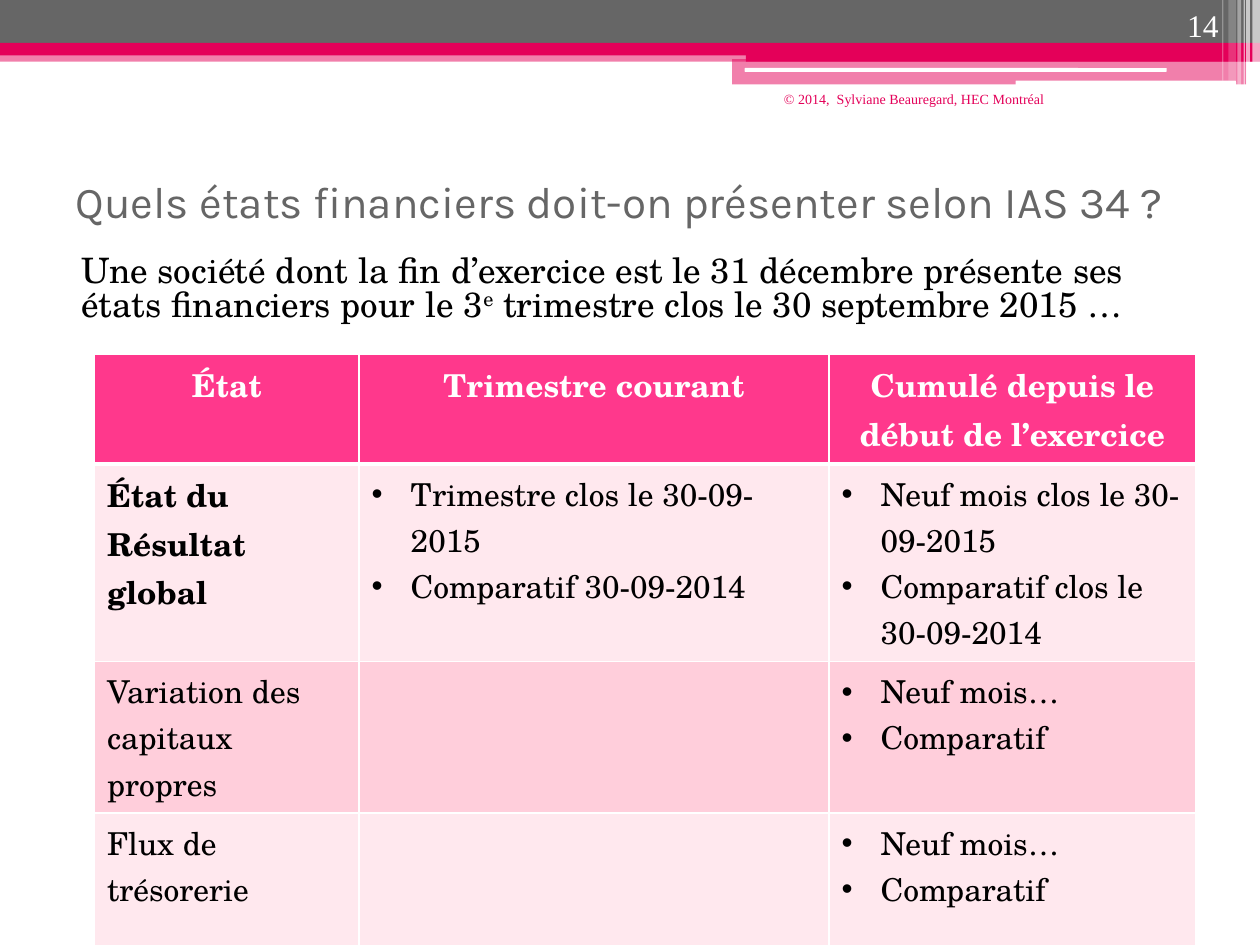
"""Build the slide on the interim statements required by IAS 34."""
from dataclasses import dataclass

from lxml import etree
from pptx import Presentation
from pptx.dml.color import RGBColor
from pptx.enum.shapes import MSO_SHAPE
from pptx.enum.text import MSO_ANCHOR, MSO_AUTO_SIZE, PP_ALIGN
from pptx.oxml.ns import qn
from pptx.util import Inches, Pt

RECT, ROUND = MSO_SHAPE.RECTANGLE, MSO_SHAPE.ROUNDED_RECTANGLE
LEFT, CENTER, RIGHT = PP_ALIGN.LEFT, PP_ALIGN.CENTER, PP_ALIGN.RIGHT
TOP, MIDDLE, BOTTOM = MSO_ANCHOR.TOP, MSO_ANCHOR.MIDDLE, MSO_ANCHOR.BOTTOM
NO_FIT = MSO_AUTO_SIZE.NONE
SERIF, BODY, HEADING = "Times New Roman", "TeX Gyre Schola", "Karla"
WHITE, BLACK, GREY, PINK = "FFFFFF", "000000", "666666", "E40059"
HEADER, LIGHT, MEDIUM = "FF388C", "FFE8EE", "FFCEDB"


@dataclass(frozen=True)
class Band:
    """A decorative bar of the slide header."""
    x: float
    y: float
    w: float
    h: float
    color: str = WHITE
    alpha: int = 100
    kind: int = RECT


@dataclass(frozen=True)
class Row:
    """A table row; a tuple of texts makes a bulleted cell."""
    height: float
    fill: str
    cells: tuple
    bold: tuple = (False, False, False)
    color: str = BLACK
    align: int = LEFT
    top: int = 1
    bottom: int = 1


BANDS = [
    Band(0, 0.4, 10, 0.09, PINK, 50),
    Band(0, 0, 10, 0.34, GREY),
    Band(0, 0.34, 10, 0.1, PINK),
    Band(5.92, 0.39, 4.08, 0.1, PINK),
    Band(5.81, 0.47, 4.08, 0.2, PINK, 50),
    Band(5.91, 0.54, 3.35, 0.03, kind=ROUND),
    Band(8.06, 0.64, 1.75, 0.04, kind=ROUND),
    Band(9.94, 0, 0.06, 0.68, alpha=65),
    Band(9.89, 0, 0.03, 0.68, alpha=65),
    Band(9.87, 0, 0.01, 0.68, alpha=60),
    Band(9.82, 0, 0.03, 0.68, alpha=40),
    Band(9.75, 0, 0.06, 0.64, alpha=20),
    Band(9.7, 0, 0.01, 0.64, alpha=30),
]
NINE_MONTHS = ("Neuf mois…", "Comparatif")
COLS = (2.1, 3.73, 2.91)
ROWS = [
    Row(0.7, HEADER, ("État", "Trimestre courant", "Cumulé depuis le début de l’exercice"),
        (True, True, True), WHITE, CENTER, bottom=3),
    Row(1.3, LIGHT, ("État du Résultat global",
                     ("Trimestre clos le 30-09-2015", "Comparatif 30-09-2014"),
                     ("Neuf mois clos le 30-09-2015", "Comparatif clos le 30-09-2014")),
        (True, False, False), top=3),
    Row(1.11, MEDIUM, ("Variation des capitaux propres", "", NINE_MONTHS)),
    Row(1.08, LIGHT, ("Flux de trésorerie", "", NINE_MONTHS)),
]


def rgb(color: str) -> RGBColor:
    """Turn a hex string into a colour."""
    return RGBColor.from_string(color)


def add_run(p, text: str, *, size: float = 18, font: str = BODY, color: str = BLACK,
            bold: bool = False, align: int = LEFT, raised: int = 0) -> None:
    """Append formatted text to a paragraph."""
    p.alignment = align
    r = p.add_run()
    r.text = text
    r.font.size, r.font.name, r.font.bold = Pt(size), font, bold
    r.font.color.rgb = rgb(color)
    if raised:
        r.font._element.set("baseline", str(raised * 1000))


def set_list(p, margin: float, indent: float, bullet: str = "") -> None:
    """Set the indents and the bullet of a paragraph."""
    pPr = p._p.get_or_add_pPr()
    pPr.set("marL", str(Inches(margin)))
    pPr.set("indent", str(Inches(indent)))
    if bullet:
        etree.SubElement(pPr, qn("a:buFont"), typeface="Arial")
        etree.SubElement(pPr, qn("a:buChar"), char=bullet)
    else:
        etree.SubElement(pPr, qn("a:buNone"))


def place(sp, x: float, y: float, w: float, h: float, anchor: int = TOP):
    """Position a text shape and return its first paragraph."""
    sp.left, sp.top, sp.width, sp.height = map(Inches, (x, y, w, h))
    tf = sp.text_frame
    tf.word_wrap, tf.auto_size, tf.vertical_anchor = True, NO_FIT, anchor
    return tf.paragraphs[0]


def add_box(s, x: float, y: float, w: float, h: float, anchor: int = TOP):
    """Add a text box and return its first paragraph."""
    return place(s.shapes.add_textbox(0, 0, 0, 0), x, y, w, h, anchor)


def add_band(s, band: Band) -> None:
    """Draw one header bar."""
    sp = s.shapes.add_shape(band.kind, *map(Inches, (band.x, band.y, band.w, band.h)))
    sp.shadow.inherit = False
    sp.line.fill.background()
    sp.fill.solid()
    sp.fill.fore_color.rgb = rgb(band.color)
    if band.alpha < 100:
        clr = sp._element.spPr.find(".//" + qn("a:srgbClr"))
        etree.SubElement(clr, qn("a:alpha"), val=str(band.alpha * 1000))


def add_borders(cell, top: int, bottom: int) -> None:
    """Give a cell white borders."""
    tcPr = cell._tc.get_or_add_tcPr()
    for side, width in (("L", 1), ("R", 1), ("T", top), ("B", bottom)):
        ln = etree.SubElement(tcPr, qn(f"a:ln{side}"), w=str(Pt(width)))
        fill = etree.SubElement(ln, qn("a:solidFill"))
        etree.SubElement(fill, qn("a:srgbClr"), val=WHITE)


def fill_cell(cell, content, row: Row, bold: bool) -> None:
    """Write and format one table cell."""
    add_borders(cell, row.top, row.bottom)
    cell.fill.solid()
    cell.fill.fore_color.rgb = rgb(row.fill)
    bulleted = isinstance(content, tuple)
    tf = cell.text_frame
    for i, text in enumerate(content if bulleted else (content,)):
        p = tf.add_paragraph() if i else tf.paragraphs[0]
        if bulleted:
            set_list(p, 0.31, -0.31, "•")
        if text:
            add_run(p, text, bold=bold, color=row.color, align=row.align)


def add_statements(s, x: float, y: float) -> None:
    """Draw the table of statements."""
    size = sum(COLS), sum(row.height for row in ROWS)
    table = s.shapes.add_table(len(ROWS), len(COLS), *map(Inches, (x, y, *size))).table
    table.first_row = table.horz_banding = False
    for col, width in zip(table.columns, COLS):
        col.width = Inches(width)
    for i, row in enumerate(ROWS):
        table.rows[i].height = Inches(row.height)
        for j, content in enumerate(row.cells):
            fill_cell(table.cell(i, j), content, row, row.bold[j])


def main() -> None:
    """Build and save the presentation."""
    prs = Presentation()
    prs.slide_width, prs.slide_height = Inches(10), Inches(7.5)
    s = prs.slides.add_slide(prs.slide_layouts[1])
    for band in BANDS:
        add_band(s, band)

    p = place(s.shapes.title, 0.5, 1.25, 9, 0.69, MIDDLE)
    add_run(p, "Quels états financiers doit-on présenter selon IAS 34 ?",
            size=25.2, font=HEADING, color=GREY)

    body = s.placeholders[1]
    p = place(body, 0.43, 1.94, 9, 5.28)
    body.text_frame.margin_top = Inches(0.09)
    set_list(p, 0.12, 0)
    p.space_before, p.line_spacing = Pt(0), 0.81
    add_run(p, "Une société dont la fin d’exercice est le 31 décembre présente ses "
               "états financiers pour le 3", size=20)
    add_run(p, "e", size=20, raised=30)
    add_run(p, " trimestre clos le 30 septembre 2015 …", size=20)

    add_statements(s, 0.75, 2.81)
    add_run(add_box(s, 5.75, 0.67, 2.64, 0.36), "© 2014,  Sylviane Beauregard, HEC Montréal",
            size=8, font=SERIF, color=PINK, align=RIGHT)
    add_run(add_box(s, 8.94, 0, 0.83, 0.4, BOTTOM), "14",
            font=SERIF, color=WHITE, align=RIGHT)
    prs.save("out.pptx")


if __name__ == "__main__":
    main()
